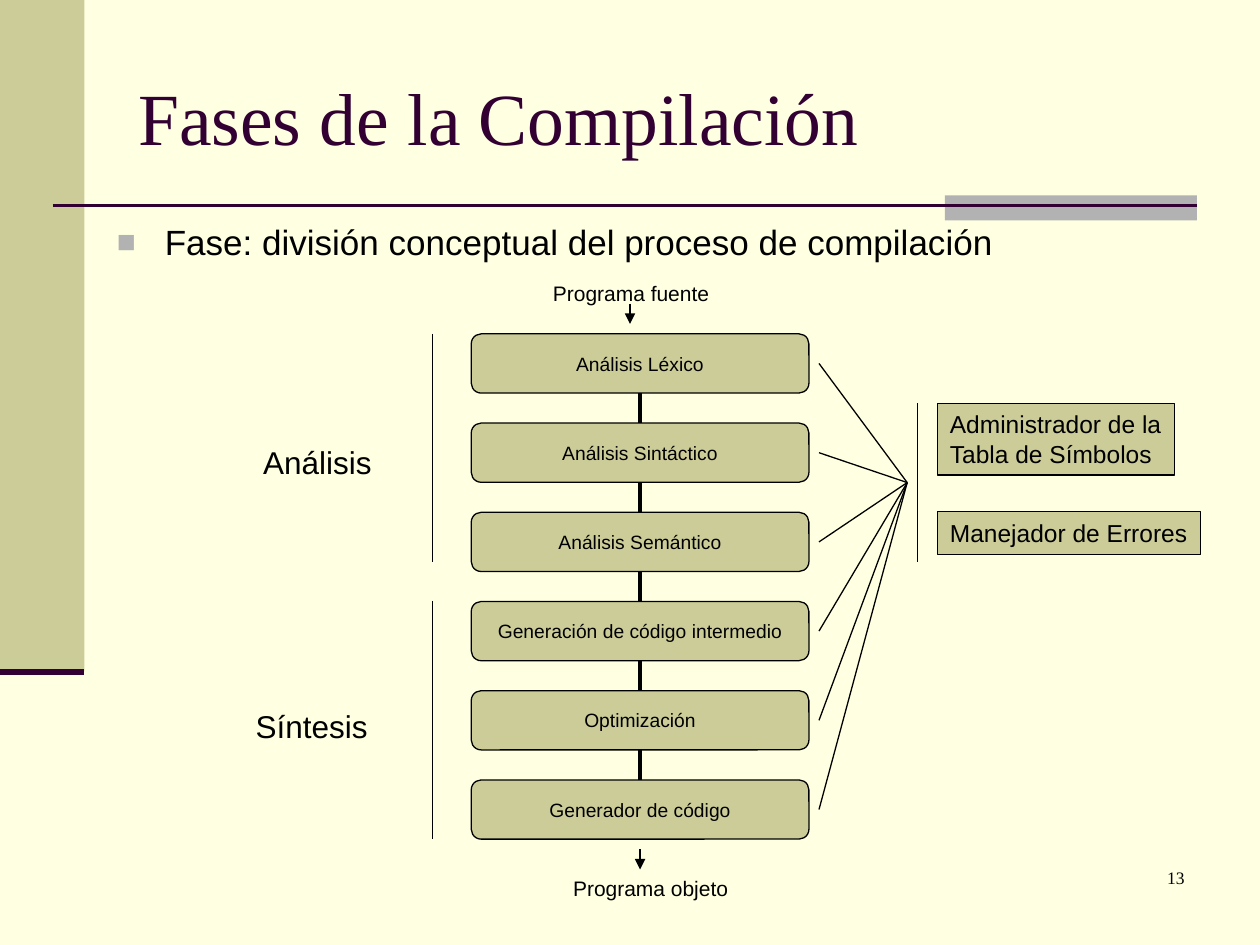
from lxml import etree
from pptx import Presentation
from pptx.dml.color import RGBColor
from pptx.enum import shapes, text
from pptx.oxml import ns
from pptx.util import Inches, Pt

CREAM, OLIVE, GREY, PLUM, BLACK = "FFFFE1", "CCCC99", "B2B2B2", "330033", "000000"
SANS, SERIF = "Arial", "Times New Roman"
LEFT, CENTER, RIGHT = text.PP_ALIGN.LEFT, text.PP_ALIGN.CENTER, text.PP_ALIGN.RIGHT
TOP, MIDDLE = text.MSO_ANCHOR.TOP, text.MSO_ANCHOR.MIDDLE

# Content
TITLE = "Fases de la Compilación"
DEFINITION = "Fase: división conceptual del proceso de compilación"
PHASES = ["Análisis Léxico", "Análisis Sintáctico", "Análisis Semántico",
          "Generación de código intermedio", "Optimización", "Generador de código"]
LABELS = [  # text, left, top, width, height, size, wrap
    ("Programa fuente", 4.29, 2.18, 1.6, 0.3, 12, True),
    ("Programa objeto", 4.45, 6.9, 1.6, 0.3, 12, True),
    ("Análisis", 1.99, 3.47, 1.06, 0.4, 18, False),
    ("Síntesis", 1.93, 5.56, 1.09, 0.4, 18, False),
]
SERVICES = [  # text, left, top, width, height, wrap
    ("Administrador de la\nTabla de Símbolos", 7.44, 3.2, 1.88, 0.57, False),
    ("Manejador de Errores", 7.44, 4.06, 2.09, 0.34, True),
]
ARROWS = [(5, 2.41, 2.57), (5.08, 6.74, 6.9)]  # x, top, bottom
GROUP_BARS = [(3.43, 2.65, 4.46), (3.43, 4.77, 6.66), (7.28, 3.2, 4.46)]

# Phase column and the point where its side lines meet
PHASE_LEFT, PHASE_TOP, PHASE_WIDTH, PHASE_HEIGHT = 3.74, 2.65, 2.68, 0.47
PHASE_STEP = 0.708
FAN_LEFT, HUB = 6.5, (7.2, 3.83)

deck = Presentation()
deck.slide_width, deck.slide_height = Inches(10), Inches(7.5)
page = deck.slides.add_slide(deck.slide_layouts[6])


def color(value):
    return RGBColor.from_string(value)


def add_box(kind, left, top, width, height, fill, line=None):
    box = page.shapes.add_shape(kind, *map(Inches, (left, top, width, height)))
    box.shadow.inherit = False
    box.fill.solid()
    box.fill.fore_color.rgb = color(fill)
    if line:
        box.line.color.rgb = color(line)
        box.line.width = Pt(0.75)
    else:
        box.line.fill.background()
    return box


def write(box, words, size, font=SANS, ink=BLACK, align=LEFT, anchor=TOP,
          wrap=True, margins=(0.1, 0.05)):
    frame = box.text_frame
    frame.text = words
    frame.word_wrap = wrap
    frame.vertical_anchor = anchor
    frame.margin_left = frame.margin_right = Inches(margins[0])
    frame.margin_top = frame.margin_bottom = Inches(margins[1])
    for para in frame.paragraphs:
        para.alignment = align
        for span in para.runs:
            span.font.size = Pt(size)
            span.font.name = font
            span.font.color.rgb = color(ink)
    return frame


def add_text(words, left, top, width, height, size, **style):
    box = page.shapes.add_textbox(*map(Inches, (left, top, width, height)))
    return write(box, words, size, **style)


def add_line(x1, y1, x2, y2, ink=BLACK, width=0.75, arrow=False):
    line = page.shapes.add_connector(shapes.MSO_CONNECTOR.STRAIGHT,
                                     *map(Inches, (x1, y1, x2, y2)))
    line.line.color.rgb = color(ink)
    line.line.width = Pt(width)
    if arrow:
        etree.SubElement(line.line._get_or_add_ln(), ns.qn("a:tailEnd"), type="triangle")
    etree.SubElement(line._element.spPr, ns.qn("a:effectLst"))
    return line


def add_bullet(para, mark, ink, percent, indent):
    props = para._p.get_or_add_pPr()
    props.set("marL", str(Inches(indent)))
    props.set("indent", str(-Inches(indent)))
    tint = etree.SubElement(props, ns.qn("a:buClr"))
    etree.SubElement(tint, ns.qn("a:srgbClr"), val=ink)
    etree.SubElement(props, ns.qn("a:buSzPct"), val=str(percent * 1000))
    etree.SubElement(props, ns.qn("a:buFont"), typeface=SANS)
    etree.SubElement(props, ns.qn("a:buChar"), char=mark)


# Background and decoration
page.background.fill.solid()
page.background.fill.fore_color.rgb = color(CREAM)
RECT = shapes.MSO_SHAPE.RECTANGLE
add_box(RECT, 0, 0, 0.67, 5.33, OLIVE)
add_box(RECT, 7.5, 1.55, 2, 0.2, GREY)
add_line(0.42, 1.63, 9.5, 1.63, PLUM, 1.5)
add_line(0, 5.33, 0.67, 5.33, PLUM, 3.5)

# Title and definition
add_text(TITLE, 1, 0.3, 8.5, 1.25, 42, font=SERIF, ink=PLUM, anchor=MIDDLE)
definition = add_text(DEFINITION, 0.83, 1.7, 8.49, 0.5, 20).paragraphs[0]
definition.space_before = Pt(5)
add_bullet(definition, "■", GREY, 90, 0.38)

# Phases, joined top to bottom, each with a line to the hub
previous = None
for index, name in enumerate(PHASES):
    top = PHASE_TOP + index * PHASE_STEP
    middle = top + PHASE_HEIGHT / 2
    phase = add_box(shapes.MSO_SHAPE.ROUNDED_RECTANGLE, PHASE_LEFT, top,
                    PHASE_WIDTH, PHASE_HEIGHT, OLIVE, BLACK)
    write(phase, name, 11, align=CENTER, anchor=MIDDLE, wrap=False, margins=(0, 0))
    add_line(FAN_LEFT, middle, *HUB)
    if previous:
        center = PHASE_LEFT + PHASE_WIDTH / 2
        link = add_line(center, top - PHASE_STEP + PHASE_HEIGHT, center, top, width=2.25)
        link.begin_connect(previous, 2)
        link.end_connect(phase, 0)
    previous = phase

# Input, output and group labels
for words, left, top, width, height, size, wrap in LABELS:
    add_text(words, left, top, width, height, size, wrap=wrap)
for x, top, bottom in ARROWS:
    add_line(x, top, x, bottom, arrow=True)
for x, top, bottom in GROUP_BARS:
    add_line(x, top, x, bottom)

# Shared services
for words, left, top, width, height, wrap in SERVICES:
    service = add_box(RECT, left, top, width, height, OLIVE, BLACK)
    write(service, words, 14, wrap=wrap)

# Page number
add_text("13", 7.42, 6.83, 2.08, 0.5, 10, font=SERIF, align=RIGHT)

deck.save("out.pptx")
